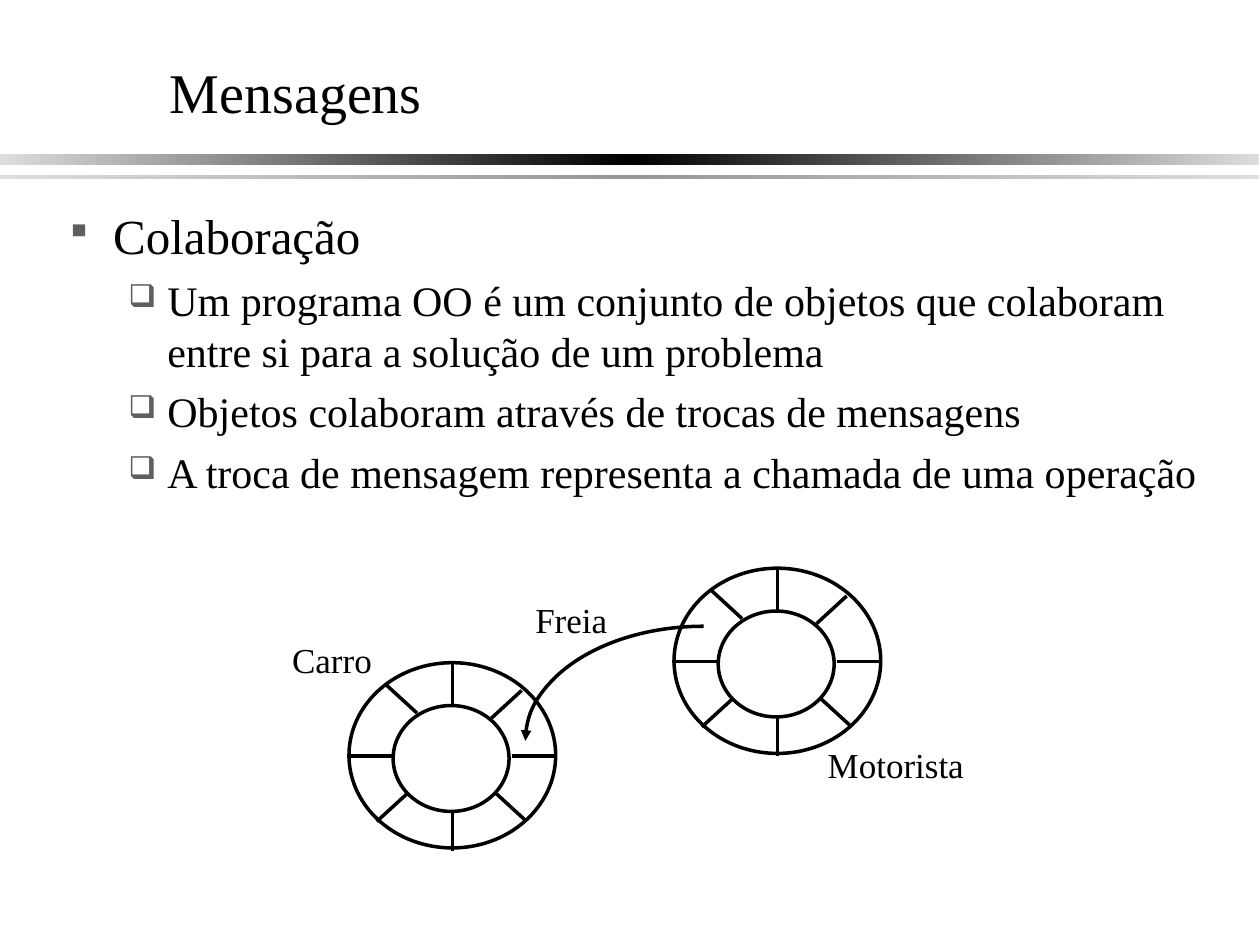
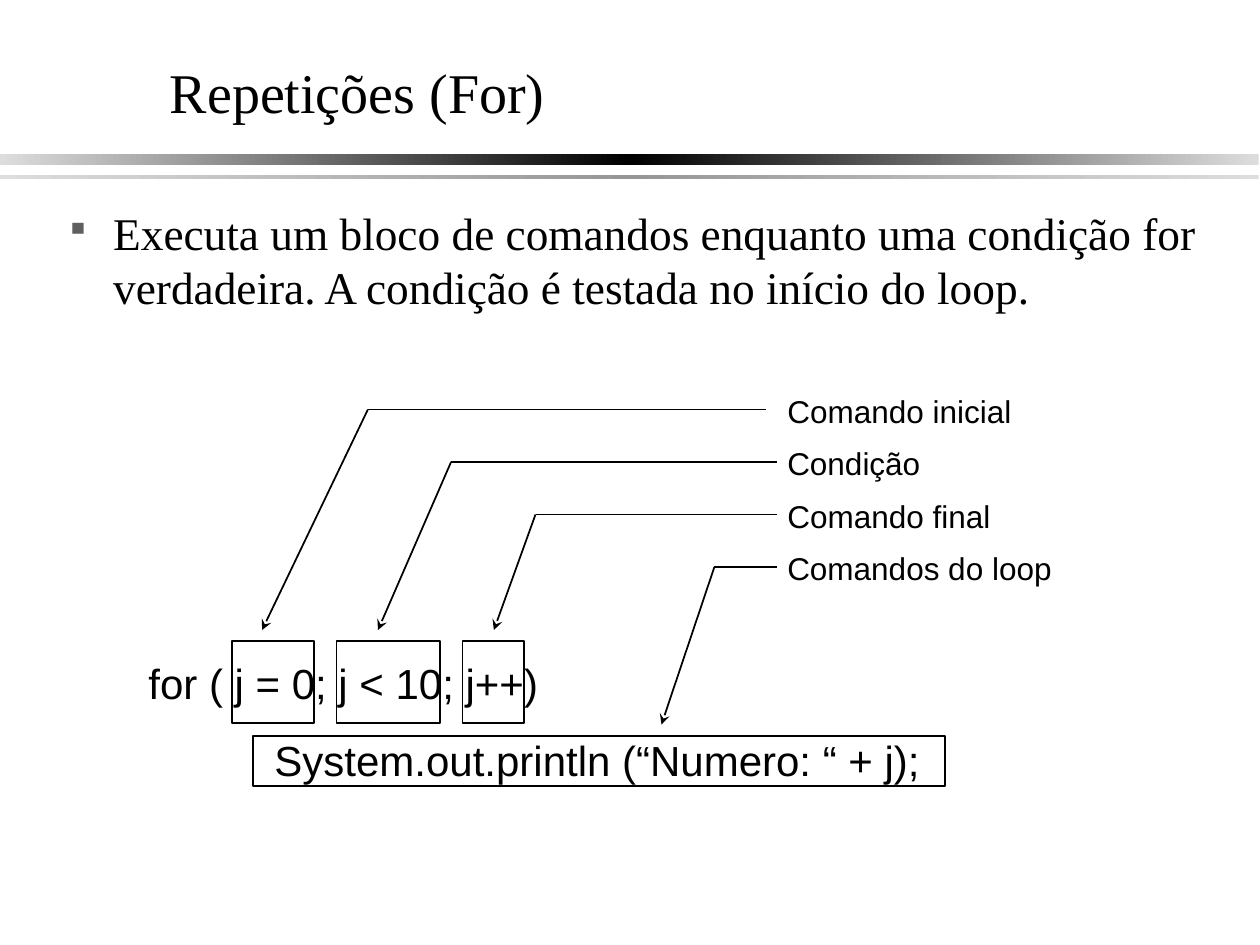
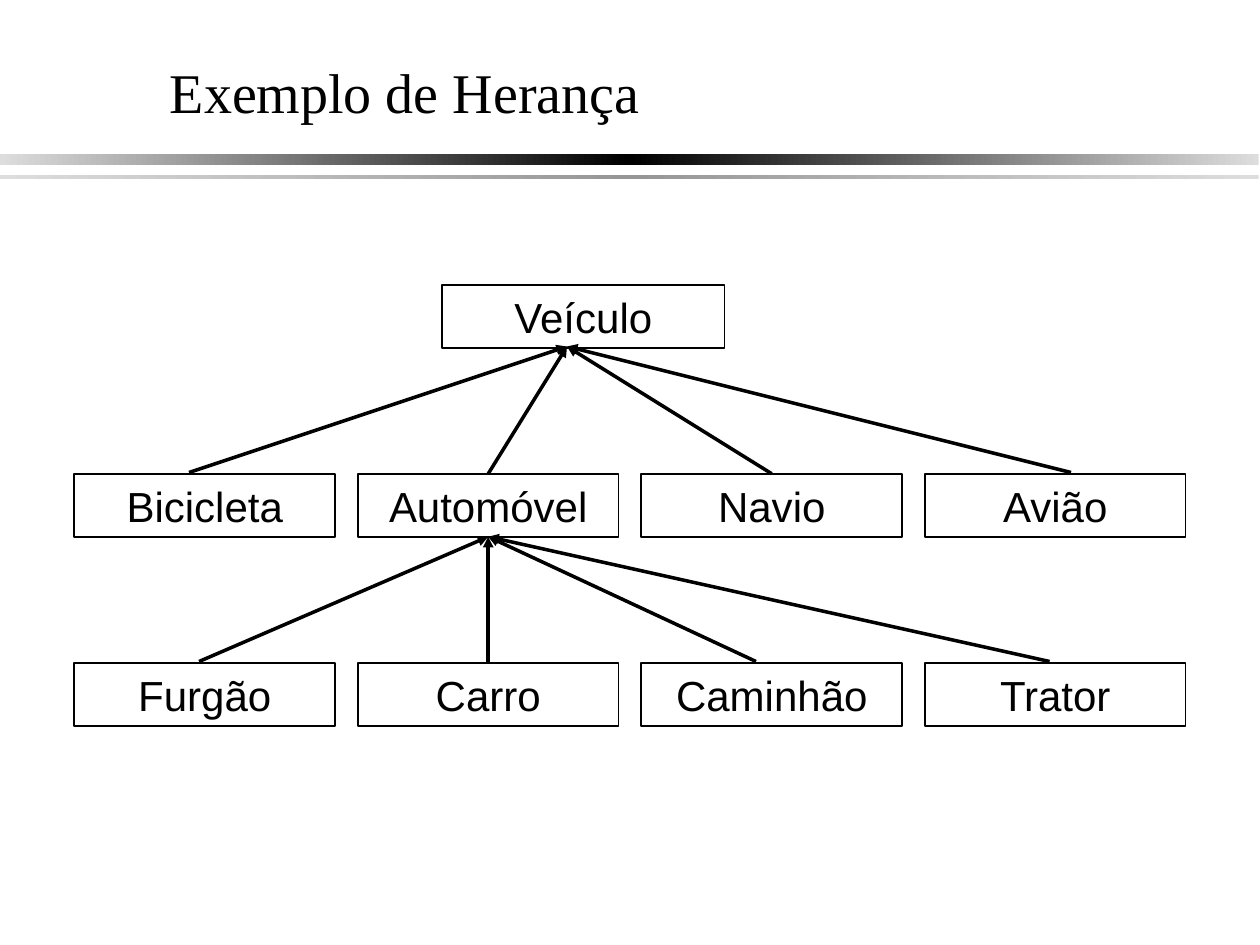
from lxml import etree
from pptx import Presentation
from pptx.dml.color import RGBColor
from pptx.enum.shapes import MSO_CONNECTOR, MSO_SHAPE
from pptx.enum.text import MSO_ANCHOR, PP_ALIGN
from pptx.oxml.ns import qn
from pptx.util import Inches, Pt

BLACK = RGBColor(0x00, 0x00, 0x00)
WHITE = RGBColor(0xFF, 0xFF, 0xFF)
GREY = RGBColor(0x96, 0x96, 0x96)
LIGHT_GREY = RGBColor(0xDD, 0xDD, 0xDD)
BULLET_GREY = RGBColor(0x5F, 0x5F, 0x5F)
SERIF = "Times New Roman"
SANS = "Arial"
RECT = MSO_SHAPE.RECTANGLE
OVAL = MSO_SHAPE.OVAL
ARC = MSO_SHAPE.ARC
STRAIGHT = MSO_CONNECTOR.STRAIGHT
MIDDLE = MSO_ANCHOR.MIDDLE
CENTER = PP_ALIGN.CENTER
TOP_SITE, BOTTOM_SITE = 0, 2

BULLETS = [("▪", 0.38, -0.38, 7), ("❑", 0.81, -0.31, 6)]
SPOKES = [
    (0.84, 1.5, 0.84, 1.2), (1.19, 1.05, 1.43, 1.27),
    (0.32, 0.19, 0.56, 0.41), (1.39, 0.23, 1.15, 0.45),
    (0.48, 1.05, 0.24, 1.27), (0.84, 0.34, 0.84, 0),
    (0.36, 0.75, 0, 0.75), (1.67, 0.75, 1.31, 0.75),
]


def child(parent, tag, **attributes):
    return etree.SubElement(parent, qn(tag), attributes)


def add_run(paragraph, text, size, font):
    run = paragraph.add_run()
    run.text = text
    run.font.size = Pt(size)
    run.font.name = font
    run.font.color.rgb = BLACK
    return run


def add_box(slide, left, top, width, height, wrap=True):
    box = slide.shapes.add_textbox(
        Inches(left), Inches(top), Inches(width), Inches(height))
    box.text_frame.word_wrap = wrap
    return box.text_frame


def add_label(slide, text, left, top, width, height, size, font):
    frame = add_box(slide, left, top, width, height, wrap=False)
    add_run(frame.paragraphs[0], text, size, font)


def add_outline(slide, kind, left, top, width, height, weight, fill=None):
    shape = slide.shapes.add_shape(
        kind, Inches(left), Inches(top), Inches(width), Inches(height))
    shape.shadow.inherit = False
    shape.line.color.rgb = BLACK
    shape.line.width = Pt(weight)
    if fill is None:
        shape.fill.background()
    else:
        shape.fill.solid()
        shape.fill.fore_color.rgb = fill
    return shape


def add_line(slide, x1, y1, x2, y2, weight):
    line = slide.shapes.add_connector(
        STRAIGHT, Inches(x1), Inches(y1), Inches(x2), Inches(y2))
    line.line.color.rgb = BLACK
    line.line.width = Pt(weight)
    child(line._element.spPr, "a:effectLst")
    return line


def add_arrowhead(shape, end, kind):
    child(shape.line._get_or_add_ln(), end, type=kind)


def add_band(slide, top, height, middle):
    band = slide.shapes.add_shape(
        RECT, 0, Inches(top), Inches(9.99), Inches(height))
    band.shadow.inherit = False
    band.line.fill.background()
    band.fill.gradient()
    band.fill.gradient_angle = 0
    stops = band._element.spPr.find(qn("a:gradFill")).find(qn("a:gsLst"))
    for stop in list(stops):
        stops.remove(stop)
    for position, color in ((0, LIGHT_GREY), (50, middle), (100, LIGHT_GREY)):
        stop = child(stops, "a:gs", pos=str(position * 1000))
        child(stop, "a:srgbClr", val=str(color))


def add_titled_slide(prs, title):
    slide = prs.slides.add_slide(prs.slide_layouts[6])
    add_band(slide, 1.22, 0.09, BLACK)
    add_band(slide, 1.39, 0.03, GREY)
    frame = add_box(slide, 1.25, 0.37, 8.5, 0.71)
    frame.vertical_anchor = MIDDLE
    run = add_run(frame.paragraphs[0], title, 32, SERIF)
    effects = etree.Element(qn("a:effectLst"))
    shadow = child(effects, "a:outerShdw", dist="17961", dir="2700000")
    child(shadow, "a:srgbClr", val=str(LIGHT_GREY))
    run.font._element.find(qn("a:solidFill")).addnext(effects)
    return slide


def add_bullets(slide, left, top, width, height, items):
    frame = add_box(slide, left, top, width, height)
    for index, (level, text, size) in enumerate(items):
        paragraph = frame.paragraphs[0] if index == 0 else frame.add_paragraph()
        mark, margin, indent, space = BULLETS[level]
        if index:
            paragraph.space_before = Pt(space)
        paragraph.level = level
        props = paragraph._p.get_or_add_pPr()
        props.set("marL", str(Inches(margin)))
        props.set("indent", str(Inches(indent)))
        color = child(props, "a:buClr")
        child(color, "a:srgbClr", val=str(BULLET_GREY))
        child(props, "a:buSzPct", val="75000")
        child(props, "a:buChar", char=mark)
        add_run(paragraph, text, size, SERIF)


def add_wheel(slide, left, top):
    add_outline(slide, OVAL, left + 0.02, top + 0.01, 1.64, 1.47, 2, WHITE)
    add_outline(slide, OVAL, left + 0.37, top + 0.35, 0.92, 0.84, 2, WHITE)
    for x1, y1, x2, y2 in SPOKES:
        add_line(slide, left + x1, top + y1, left + x2, top + y2, 2)


def add_collaboration(slide, left, top):
    add_wheel(slide, left + 3.11, top)
    add_wheel(slide, left + 0.53, top + 0.75)
    message = add_outline(
        slide, ARC, left + 1.95, top + 0.47, 2.83, 1.82, 2)
    message.adjustments[0] = 180 * 0.6
    message.adjustments[1] = 270 * 0.6
    add_arrowhead(message, "a:headEnd", "triangle")
    for text, x, y, width in (
            ("Motorista", 4.25, 1.35, 1.28),
            ("Carro", 0, 0.52, 0.84),
            ("Freia", 1.93, 0.2, 0.77)):
        add_label(slide, text, left + x, top + y, width, 0.43, 20, SERIF)


def add_loop_code(slide, left, top):
    frame = add_box(slide, left, top + 0.08, 6.33, 1.11)
    add_run(frame.paragraphs[0], "for ( j = 0; j < 10; j++)", 24, SANS)
    body = frame.add_paragraph()
    body.space_before = Pt(15)
    body._p.get_or_add_pPr().set("marL", str(Inches(1)))
    add_run(body, "System.out.println (“Numero: “ + j);", 24, SANS)
    for x, y, width, height in (
            (0.76, 0, 0.65, 0.65), (1.59, 0, 0.82, 0.65),
            (2.59, 0, 0.49, 0.65), (0.93, 0.75, 5.49, 0.4)):
        add_outline(slide, RECT, left + x, top + y, width, height, 1)


def add_callouts(slide, left, top):
    callouts = [
        ("Comando inicial", 1.98, 6.08, 2.92, 2.08, 5),
        ("Condição", 1.26, 6.17, 3.58, 3, 5),
        ("Comando final", 1.81, 6.17, 4.25, 3.92, 5),
        ("Comandos do loop", 2.3, 6.17, 5.67, 5.25, 5.75),
    ]
    for index, (text, width, start, bend, tip_x, tip_y) in enumerate(callouts):
        y = top + index * 1.25 / 3
        add_label(slide, text, left, y, width, 0.4, 18, SANS)
        add_line(slide, start, y + 0.19, bend, y + 0.19, 1)
        pointer = add_line(slide, bend, y + 0.19, tip_x, tip_y, 1)
        add_arrowhead(pointer, "a:tailEnd", "stealth")


def add_class(slide, name, left, top, width):
    box = add_outline(slide, RECT, left, top, width, 0.5, 1)
    frame = box.text_frame
    frame.word_wrap = True
    frame.paragraphs[0].alignment = CENTER
    add_run(frame.paragraphs[0], name, 24, SANS)
    return box


def add_class_row(slide, names, left, top):
    return [add_class(slide, name, left + 2.25 * index, top, 2.07)
            for index, name in enumerate(names)]


def add_inheritance(slide, tip, feet, parent=None):
    tip_x, tip_y = tip
    for foot_x, subclass in feet:
        arrow = add_line(slide, tip_x, tip_y, foot_x, tip_y + 1, 2)
        if parent is not None:
            arrow.begin_connect(parent, BOTTOM_SITE)
        if subclass is not None:
            arrow.end_connect(subclass, TOP_SITE)
        add_arrowhead(arrow, "a:headEnd", "triangle")


def build_messages(prs):
    slide = add_titled_slide(prs, "Mensagens")
    add_bullets(slide, 0.42, 1.58, 9.25, 2.58, [
        (0, "Colaboração", 28),
        (1, "Um programa OO é um conjunto de objetos que colaboram "
            "entre si para a solução de um problema", 24),
        (1, "Objetos colaboram através de trocas de mensagens", 24),
        (1, "A troca de mensagem representa a chamada de uma operação", 24),
    ])
    add_collaboration(slide, 2.22, 4.5)


def build_for_loop(prs):
    slide = add_titled_slide(prs, "Repetições (For)")
    add_bullets(slide, 0.42, 1.58, 9.42, 1, [
        (0, "Executa um bloco de comandos enquanto uma condição for "
            "verdadeira. A condição é testada no início do loop.", 25.9),
    ])
    add_loop_code(slide, 1.08, 5.09)
    add_callouts(slide, 6.15, 3.06)


def build_inheritance(prs):
    slide = add_titled_slide(prs, "Exemplo de Herança")
    add_class(slide, "Veículo", 3.51, 2.26, 2.24)
    _, car, ship, _ = add_class_row(
        slide, ["Bicicleta", "Automóvel", "Navio", "Avião"], 0.59, 3.76)
    add_inheritance(slide, (4.5, 2.75), [
        (1.5, None), (3.92, car), (6.08, ship), (8.5, None)])
    _, sedan, _, _ = add_class_row(
        slide, ["Furgão", "Carro", "Caminhão", "Trator"], 0.59, 5.26)
    add_inheritance(slide, (3.92, 4.25), [
        (1.58, None), (3.83, sedan), (6, None), (8.33, None)], car)


def main():
    prs = Presentation()
    prs.slide_width = Inches(10)
    prs.slide_height = Inches(7.5)
    build_messages(prs)
    build_for_loop(prs)
    build_inheritance(prs)
    prs.save("out.pptx")


if __name__ == "__main__":
    main()
